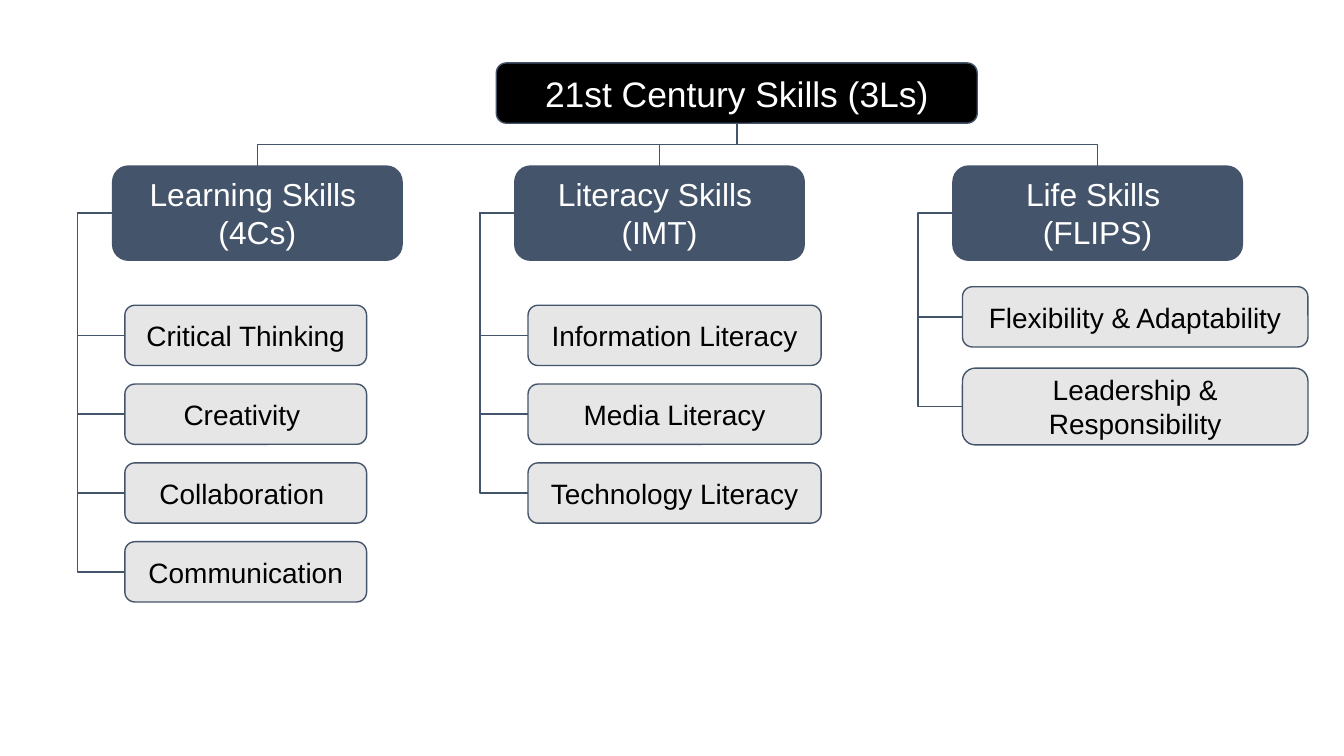
import dataclasses
import typing

import lxml.etree
import pptx
import pptx.dml.color
import pptx.enum.shapes
import pptx.enum.text
import pptx.oxml.ns
import pptx.shapes.autoshape
import pptx.shapes.connector
import pptx.util

Cm = pptx.util.Cm
Box = pptx.shapes.autoshape.Shape
Connector = pptx.shapes.connector.Connector

COLORS = {
    "root": "000000",
    "branch": "44546A",
    "skill": "E7E6E6",
    "line": "44546A",
    "light_text": "FFFFFF",
    "dark_text": "000000",
}
FRAME_FORMAT = {
    "word_wrap": True,
    "vertical_anchor": pptx.enum.text.MSO_ANCHOR.MIDDLE,
    "margin_left": Cm(0.25),
    "margin_right": Cm(0.25),
    "margin_top": Cm(0.25),
    "margin_bottom": Cm(0.25),
}
TOP, LEFT, BOTTOM = 0, 1, 2
BRANCH_TOP, BRANCH_WIDTH, BRANCH_HEIGHT = 3.14, 5.47, 1.78
ROW_HEIGHT = 1.14
TRUNK_OFFSET = Cm(0.66)


@dataclasses.dataclass(frozen=True)
class Style:
    fill: str
    text: str
    size: int


@dataclasses.dataclass(frozen=True)
class Skill:
    label: str
    height: float = ROW_HEIGHT


@dataclasses.dataclass(frozen=True)
class Branch:
    label: str
    left: float
    skill_left: float
    skill_width: float
    skills: tuple[Skill, ...]
    skill_top: float = 5.77
    gap: float = 0.35


ROOT_STYLE = Style("root", "light_text", 19)
BRANCH_STYLE = Style("branch", "light_text", 17)
SKILL_STYLE = Style("skill", "dark_text", 15)

BRANCHES = (
    Branch("Learning Skills \n(4Cs)", 2.13, 2.36, 4.57, (
        Skill("Critical Thinking"),
        Skill("Creativity "),
        Skill("Collaboration "),
        Skill("Communication"),
    )),
    Branch("Literacy Skills \n(IMT)", 9.73, 9.98, 5.54, (
        Skill("Information Literacy"),
        Skill("Media Literacy"),
        Skill("Technology Literacy"),
    )),
    Branch("Life Skills \n(FLIPS)", 18.01, 18.19, 6.53, (
        Skill("Flexibility & Adaptability"),
        Skill("Leadership & Responsibility", 1.45),
    ), skill_top=5.42, gap=0.4),
)


def apply_format(target: typing.Any, values: dict[str, typing.Any]) -> None:
    for name, value in values.items():
        setattr(target, name, value)


def color(name: str) -> pptx.dml.color.RGBColor:
    return pptx.dml.color.RGBColor.from_string(COLORS[name])


def draw_line(item: Box | Connector) -> None:
    item.line.color.rgb = color("line")
    item.line.width = pptx.util.Pt(0.75)


def add_box(slide: typing.Any, label: str, style: Style,
            left: float, top: float, width: float, height: float) -> Box:
    shape = slide.shapes.add_shape(
        pptx.enum.shapes.MSO_SHAPE.ROUNDED_RECTANGLE,
        Cm(left), Cm(top), Cm(width), Cm(height))
    shape.shadow.inherit = False
    shape.fill.solid()
    shape.fill.fore_color.rgb = color(style.fill)
    draw_line(shape)
    apply_format(shape.text_frame, FRAME_FORMAT)
    shape.text_frame.text = label
    for paragraph in shape.text_frame.paragraphs:
        paragraph.alignment = pptx.enum.text.PP_ALIGN.CENTER
        font = paragraph.runs[0].font
        apply_format(font, {"name": "Arial", "size": pptx.util.Pt(style.size)})
        font.color.rgb = color(style.text)
    return shape


def add_elbow(slide: typing.Any, start: Box, start_site: int,
              end: Box, end_site: int, bend: float) -> Connector:
    connector = slide.shapes.add_connector(
        pptx.enum.shapes.MSO_CONNECTOR.ELBOW, 0, 0, 0, 0)
    connector.begin_connect(start, start_site)
    connector.end_connect(end, end_site)
    draw_line(connector)
    properties = connector._element.spPr
    lxml.etree.SubElement(properties, pptx.oxml.ns.qn("a:effectLst"))
    geometry = properties.find(pptx.oxml.ns.qn("a:prstGeom"))
    adjustments = geometry.get_or_add_avLst()
    guide = lxml.etree.SubElement(adjustments, pptx.oxml.ns.qn("a:gd"))
    guide.set("name", "adj1")
    guide.set("fmla", f"val {round(bend * 100000)}")
    return connector


def link_down(slide: typing.Any, parent: Box, child: Box) -> None:
    connector = add_elbow(slide, parent, BOTTOM, child, TOP, 0.5)
    start_x, start_y = connector.begin_x, connector.begin_y
    end_x, end_y = connector.end_x, connector.end_y
    span, drop = abs(end_x - start_x), end_y - start_y
    apply_format(connector, {
        "left": (start_x + end_x - drop) // 2,
        "top": (start_y + end_y - span) // 2,
        "width": drop,
        "height": span,
    })
    transform = connector._element.spPr.find(pptx.oxml.ns.qn("a:xfrm"))
    rightward = end_x > start_x
    transform.set("rot", str((270 if rightward else 90) * 60000))
    transform.set("flipH", "1" if rightward else "0")


def link_side(slide: typing.Any, parent: Box, child: Box) -> None:
    bend = -TRUNK_OFFSET / (child.left - parent.left)
    add_elbow(slide, parent, LEFT, child, LEFT, bend)


def add_branch(slide: typing.Any, root: Box, branch: Branch) -> None:
    header = add_box(slide, branch.label, BRANCH_STYLE, branch.left,
                     BRANCH_TOP, BRANCH_WIDTH, BRANCH_HEIGHT)
    link_down(slide, root, header)
    top = branch.skill_top
    for skill in branch.skills:
        box = add_box(slide, skill.label, SKILL_STYLE, branch.skill_left,
                      top, branch.skill_width, skill.height)
        link_side(slide, header, box)
        top += skill.height + branch.gap


def main() -> None:
    presentation = pptx.Presentation()
    apply_format(presentation, {"slide_width": Cm(25.4), "slide_height": Cm(14.29)})
    slide = presentation.slides.add_slide(presentation.slide_layouts[6])
    root = add_box(slide, "21st Century Skills (3Ls)", ROOT_STYLE,
                   9.38, 1.19, 9.09, ROW_HEIGHT)
    for branch in BRANCHES:
        add_branch(slide, root, branch)
    presentation.save("out.pptx")


if __name__ == "__main__":
    main()
